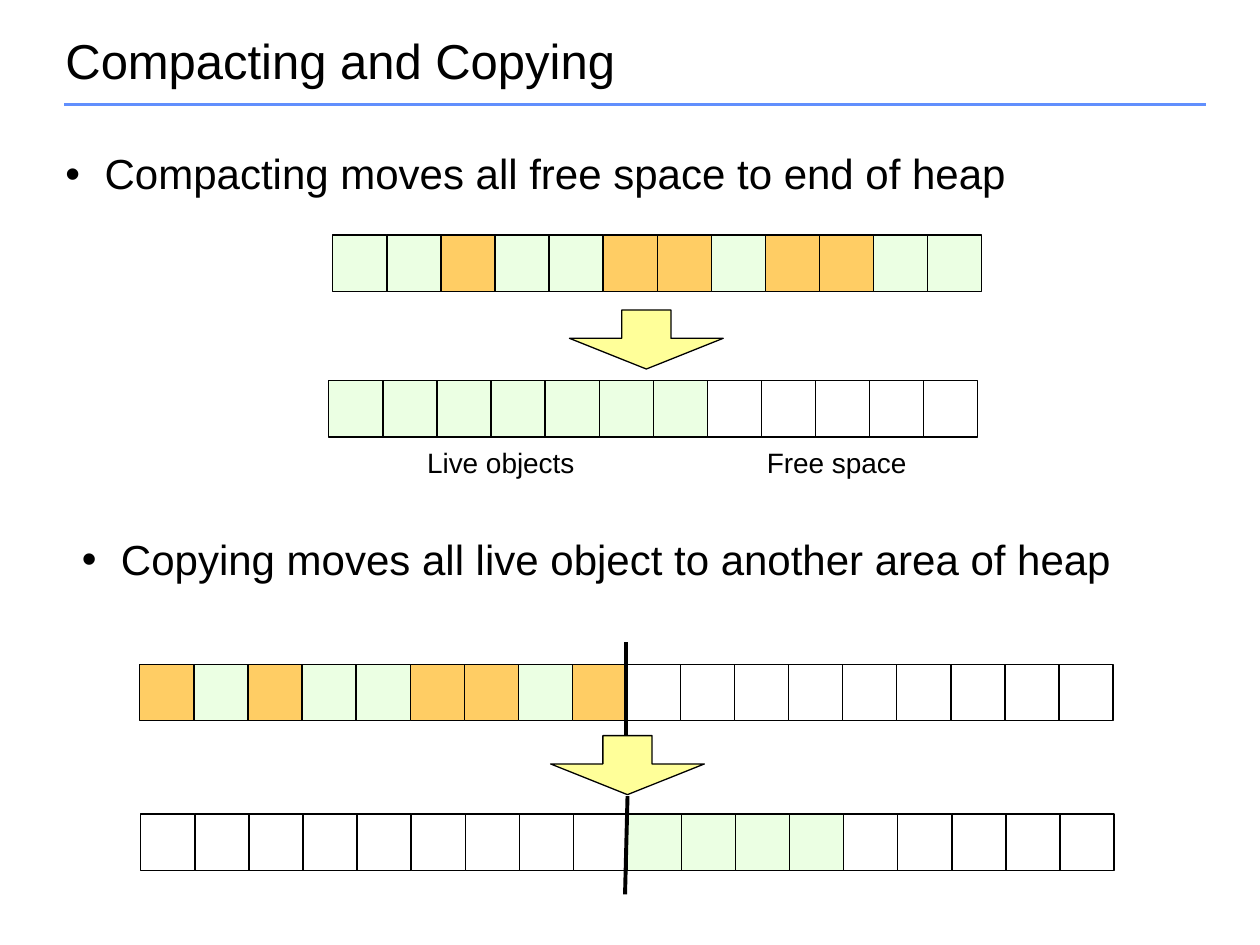
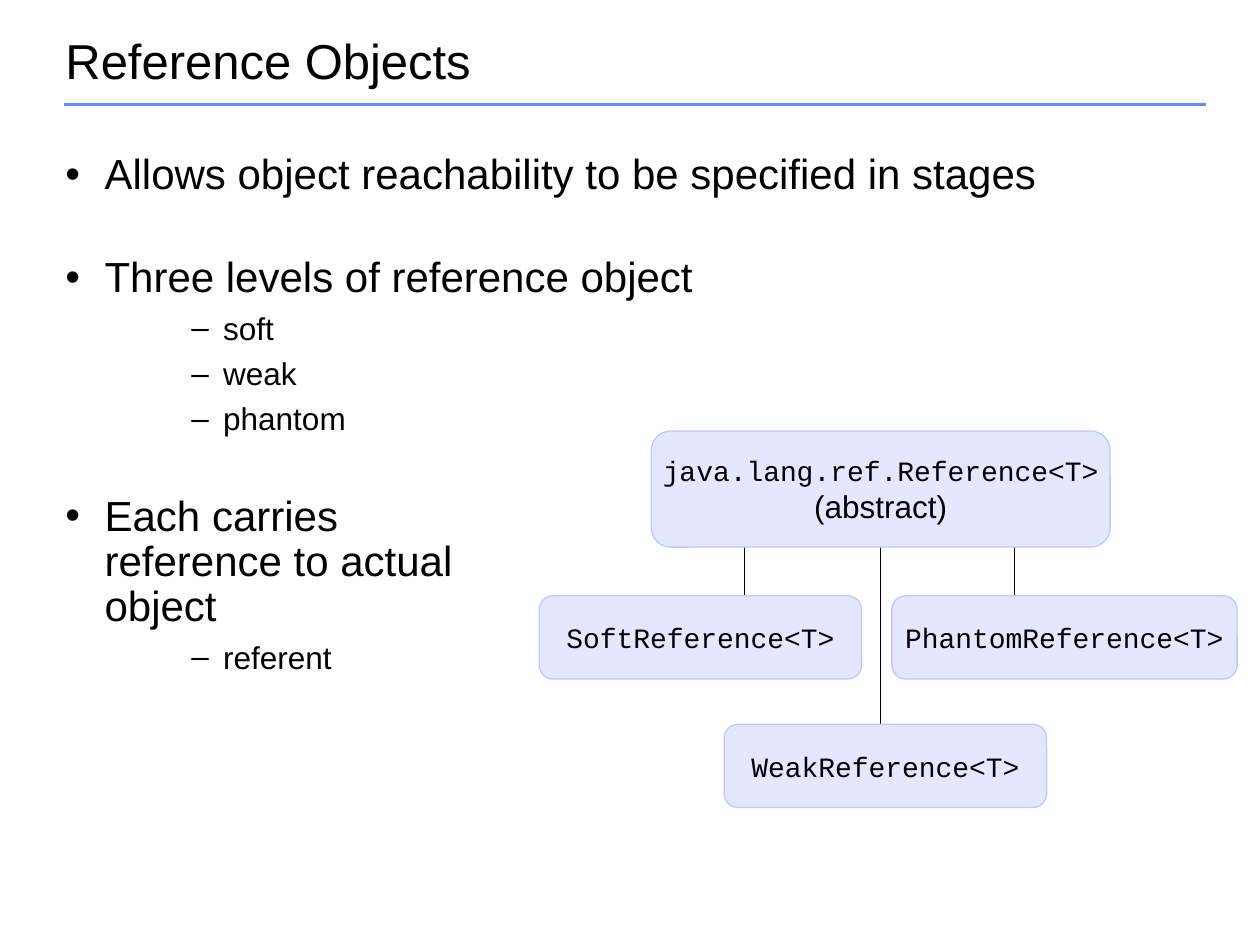
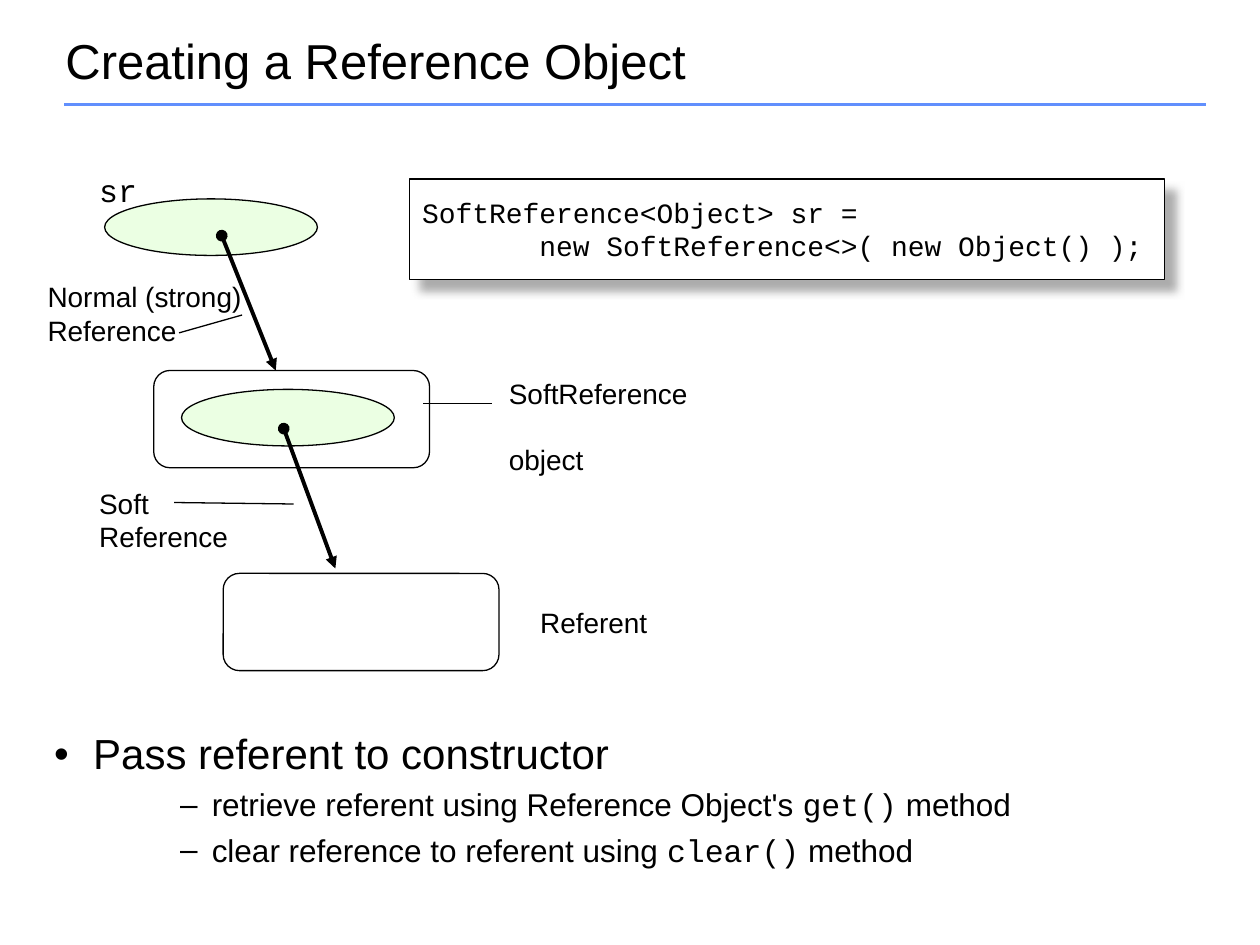
from dataclasses import dataclass

from lxml import etree
from pptx import Presentation
from pptx.dml.color import RGBColor
from pptx.enum.shapes import MSO_CONNECTOR, MSO_SHAPE
from pptx.enum.text import MSO_ANCHOR, MSO_AUTO_SIZE, PP_ALIGN
from pptx.oxml import parse_xml
from pptx.oxml.ns import nsdecls, qn
from pptx.util import Cm, Pt

STRAIGHT = MSO_CONNECTOR.STRAIGHT
RECTANGLE = MSO_SHAPE.RECTANGLE
ROUNDED = MSO_SHAPE.ROUNDED_RECTANGLE
ELLIPSE = MSO_SHAPE.OVAL
DOWN_ARROW = MSO_SHAPE.DOWN_ARROW
TOP, MIDDLE = MSO_ANCHOR.TOP, MSO_ANCHOR.MIDDLE
CENTER = PP_ALIGN.CENTER
FIT_SHAPE = MSO_AUTO_SIZE.SHAPE_TO_FIT_TEXT
BLANK_LAYOUT = 6


@dataclass(frozen=True)
class Theme:
    black: str = "000000"
    white: str = "FFFFFF"
    rule: str = "618FFD"
    live: str = "EBFFE3"
    dead: str = "FFCD64"
    arrow: str = "FFFF99"
    class_fill: str = "E3E7FF"
    class_line: str = "BFC8FB"
    shadow: str = "919191"
    sans: str = "Arial"
    mono: str = "Courier New"
    title_size: int = 28
    bullet_size: int = 24
    detail_size: int = 18
    label_size: int = 16
    thin: float = 0.75
    rule_width: float = 2
    thick: float = 2.25


THEME = Theme()

# Bullet levels: character, size, left margin and hanging indent in cm
LEVELS = [
    ("•", THEME.bullet_size, 0.79, -0.79),
    ("–", THEME.detail_size, 3.18, -0.64),
]
BULLET_GAP, SECTION_GAP = 6.3, 33

CELL_WIDTH, CELL_HEIGHT = 1.09, 1.14
CELL_FILLS = {"L": THEME.live, "D": THEME.dead, "F": THEME.white}


def apply_format(target, values):
    for name, value in values.items():
        setattr(target, name, value)


def lengths(*values):
    return [Cm(value) for value in values]


def write(paragraph, text, size, font=THEME.sans):
    """Add text to a paragraph, with a line break at each newline."""
    for index, line in enumerate(text.split("\n")):
        if index:
            paragraph.add_line_break()
        run = paragraph.add_run()
        run.text = line
        apply_format(run.font, {"name": font, "size": Pt(size)})
        run.font.color.rgb = RGBColor.from_string(THEME.black)


def add_line(slide, start, end, width=THEME.thin, color=THEME.black, arrow=False):
    """Draw a line; an arrow starts with a dot and ends with a triangle."""
    connector = slide.shapes.add_connector(STRAIGHT, *lengths(*start, *end))
    connector.line.width = Pt(width)
    connector.line.color.rgb = RGBColor.from_string(color)
    properties = connector.element.spPr
    if arrow:
        outline = properties.find(qn("a:ln"))
        etree.SubElement(outline, qn("a:headEnd"), type="oval")
        etree.SubElement(outline, qn("a:tailEnd"), type="triangle")
    etree.SubElement(properties, qn("a:effectLst"))


def add_box(parent, kind, box, fill=THEME.white, line=THEME.black):
    shape = parent.shapes.add_shape(kind, *lengths(*box))
    shape.shadow.inherit = False
    shape.fill.solid()
    shape.fill.fore_color.rgb = RGBColor.from_string(fill)
    shape.line.color.rgb = RGBColor.from_string(line)
    shape.line.width = Pt(THEME.thin)
    return shape


def add_title_slide(presentation, title):
    """Add a slide with the shared title and the rule below it."""
    slide = presentation.slides.add_slide(presentation.slide_layouts[BLANK_LAYOUT])
    add_line(slide, (1.3, 2.11), (24.31, 2.11), THEME.rule_width, THEME.rule)
    frame = slide.shapes.add_textbox(*lengths(1.07, 0.64, 23.29, 1.27)).text_frame
    apply_format(frame, {"word_wrap": True, "vertical_anchor": MIDDLE})
    frame.paragraphs[0].line_spacing = 0.9
    write(frame.paragraphs[0], title, THEME.title_size)
    return slide


def add_bullets(slide, box, items):
    """Add bullets given as (level, gap before, runs of text and font)."""
    frame = slide.shapes.add_textbox(*lengths(*box)).text_frame
    frame.word_wrap = True
    for index, (level, gap, runs) in enumerate(items):
        paragraph = frame.add_paragraph() if index else frame.paragraphs[0]
        character, size, margin, indent = LEVELS[level]
        properties = paragraph._p.get_or_add_pPr()
        properties.set("marL", str(Cm(margin)))
        properties.set("indent", str(Cm(indent)))
        etree.SubElement(properties, qn("a:buFont"), typeface=THEME.sans)
        etree.SubElement(properties, qn("a:buChar"), char=character)
        apply_format(paragraph, {
            "level": level,
            "line_spacing": 0.9,
            "space_before": Pt(gap if index else 0),
        })
        for text, font in runs:
            write(paragraph, text, size, font)


def bullet(text, level=0, gap=BULLET_GAP):
    return level, gap, [(text, THEME.sans)]


def method_bullet(before, method):
    return 1, BULLET_GAP, [
        (before, THEME.sans), (method, THEME.mono), (" method", THEME.sans)]


def add_label(slide, box, *lines, size=THEME.label_size, font=THEME.sans, gap=0):
    frame = slide.shapes.add_textbox(*lengths(*box)).text_frame
    apply_format(frame, {"word_wrap": False, "auto_size": FIT_SHAPE})
    for index, line in enumerate(lines):
        paragraph = frame.add_paragraph() if index else frame.paragraphs[0]
        paragraph.space_before = Pt(gap if index else 0)
        write(paragraph, line, size, font)


def add_heap(slide, left, top, cells):
    """Draw a row of heap cells: L is live, D is dead, F is free."""
    heap = slide.shapes.add_group_shape()
    for column, state in enumerate(cells):
        box = (left + column * CELL_WIDTH, top, CELL_WIDTH, CELL_HEIGHT)
        add_box(heap, RECTANGLE, box, CELL_FILLS[state])


def add_down_arrow(slide, left, top):
    arrow = add_box(slide, DOWN_ARROW, (left, top, 3.1, 1.19), THEME.arrow)
    arrow.adjustments[0], arrow.adjustments[1] = 0.32, 0.52


def add_class(slide, box, name, note=""):
    shape = add_box(slide, ROUNDED, box, THEME.class_fill, THEME.class_line)
    frame = shape.text_frame
    apply_format(frame, {"word_wrap": False, "vertical_anchor": MIDDLE})
    paragraph = frame.paragraphs[0]
    paragraph.alignment = CENTER
    write(paragraph, name, THEME.label_size, THEME.mono)
    if note:
        paragraph.add_line_break()
        write(paragraph, note, THEME.detail_size)


def add_code(slide, box, code):
    shape = add_box(slide, RECTANGLE, box)
    shape.element.spPr.find(qn("a:effectLst")).append(parse_xml(
        f'<a:outerShdw {nsdecls("a")} blurRad="{Pt(5)}" dist="{Pt(8.5)}" '
        f'dir="2700000" algn="tl" rotWithShape="0"><a:srgbClr val="{THEME.shadow}">'
        '<a:alpha val="75000"/></a:srgbClr></a:outerShdw>'))
    frame = shape.text_frame
    apply_format(frame, {
        "word_wrap": False,
        "auto_size": FIT_SHAPE,
        "vertical_anchor": TOP,
        "margin_top": Cm(0.33),
        "margin_bottom": Cm(0.33),
    })
    frame.paragraphs[0].alignment = PP_ALIGN.LEFT
    write(frame.paragraphs[0], code, THEME.label_size, THEME.mono)


def build_compacting(presentation):
    slide = add_title_slide(presentation, "Compacting and Copying")
    add_bullets(slide, (1.07, 2.97, 23.34, 1.47),
                [bullet("Compacting moves all free space to end of heap")])
    add_heap(slide, 6.71, 4.74, "LLDLLDDLDDLL")
    add_heap(slide, 6.63, 7.67, "L" * 7 + "F" * 5)
    add_down_arrow(slide, 11.48, 6.25)
    add_label(slide, (8.36, 8.86, 3.53, 0.94), "Live objects")
    add_label(slide, (15.21, 8.86, 3.45, 0.94), "Free space")

    add_bullets(slide, (1.4, 10.74, 23.14, 1.47),
                [bullet("Copying moves all live object to another area of heap")])
    add_heap(slide, 2.82, 13.39, "DLDLLDDLD" + "F" * 9)
    add_line(slide, (12.62, 12.95), (12.62, 14.91), THEME.thick)
    add_heap(slide, 2.84, 16.41, "F" * 9 + "L" * 4 + "F" * 5)
    add_down_arrow(slide, 11.1, 14.83)
    add_line(slide, (12.65, 16.05), (12.6, 18.03), THEME.thick)


def build_reference_objects(presentation):
    slide = add_title_slide(presentation, "Reference Objects")
    add_bullets(slide, (1.07, 2.97, 24.13, 11.63), [
        bullet("Allows object reachability to be specified in stages"),
        bullet("Three levels of reference object", gap=SECTION_GAP),
        bullet("soft", 1),
        bullet("weak", 1),
        bullet("phantom", 1),
        bullet("Each carries\nreference to actual\nobject", gap=SECTION_GAP),
        bullet("referent", 1),
    ])
    for x, bottom in [(17.75, 14.68), (15.01, 12), (20.45, 12)]:
        add_line(slide, (x, 11), (x, bottom))
    add_class(slide, (13.13, 8.69, 9.25, 2.34),
              "java.lang.ref.Reference<T>", "(abstract)")
    for name, left, top, width in [
        ("SoftReference<T>", 10.87, 12.01, 6.5),
        ("WeakReference<T>", 14.6, 14.6, 6.5),
        ("PhantomReference<T>", 17.98, 12.01, 6.96),
    ]:
        add_class(slide, (left, top, width, 1.68), name)


def build_creating_reference(presentation):
    slide = add_title_slide(presentation, "Creating a Reference Object")
    for left, top in [(3.1, 7.47), (4.5, 11.56)]:
        add_box(slide, ROUNDED, (left, top, 5.56, 1.96))
    for left, top in [(2.11, 4.01), (3.66, 7.85)]:
        add_box(slide, ELLIPSE, (left, top, 4.29, 1.14), THEME.live)
    for start, end in [((4.47, 4.75), (5.56, 7.47)), ((5.72, 8.64), (6.76, 11.46))]:
        add_line(slide, start, end, THEME.thick, arrow=True)
    add_code(slide, (8.26, 3.61, 15.21, 2.03),
             "SoftReference<Object> sr = \n       new SoftReference<>( new Object() );")

    add_label(slide, (1.75, 3.33, 1.27, 1.02), "sr",
              size=THEME.detail_size, font=THEME.mono)
    add_label(slide, (10.01, 7.47, 4.17, 1.63), "SoftReference", "object", gap=18.4)
    add_label(slide, (1.75, 9.68, 3.15, 1.63), "Soft", "Reference")
    add_label(slide, (10.64, 12.09, 2.69, 0.94), "Referent")
    add_label(slide, (0.71, 5.51, 4.47, 1.63), "Normal (strong)", "Reference")
    for start, end in [
        ((8.53, 8.13), (9.91, 8.13)),
        ((3.51, 10.13), (5.92, 10.16)),
        ((3.61, 6.71), (4.88, 6.35)),
    ]:
        add_line(slide, start, end)

    add_bullets(slide, (0.84, 14.66, 23.93, 3.99), [
        bullet("Pass referent to constructor"),
        method_bullet("retrieve referent using Reference Object's ", "get()"),
        method_bullet("clear reference to referent using ", "clear()"),
    ])


def main():
    presentation = Presentation()
    presentation.slide_width, presentation.slide_height = lengths(25.4, 19.05)
    build_compacting(presentation)
    build_reference_objects(presentation)
    build_creating_reference(presentation)
    presentation.save("out.pptx")


if __name__ == "__main__":
    main()
